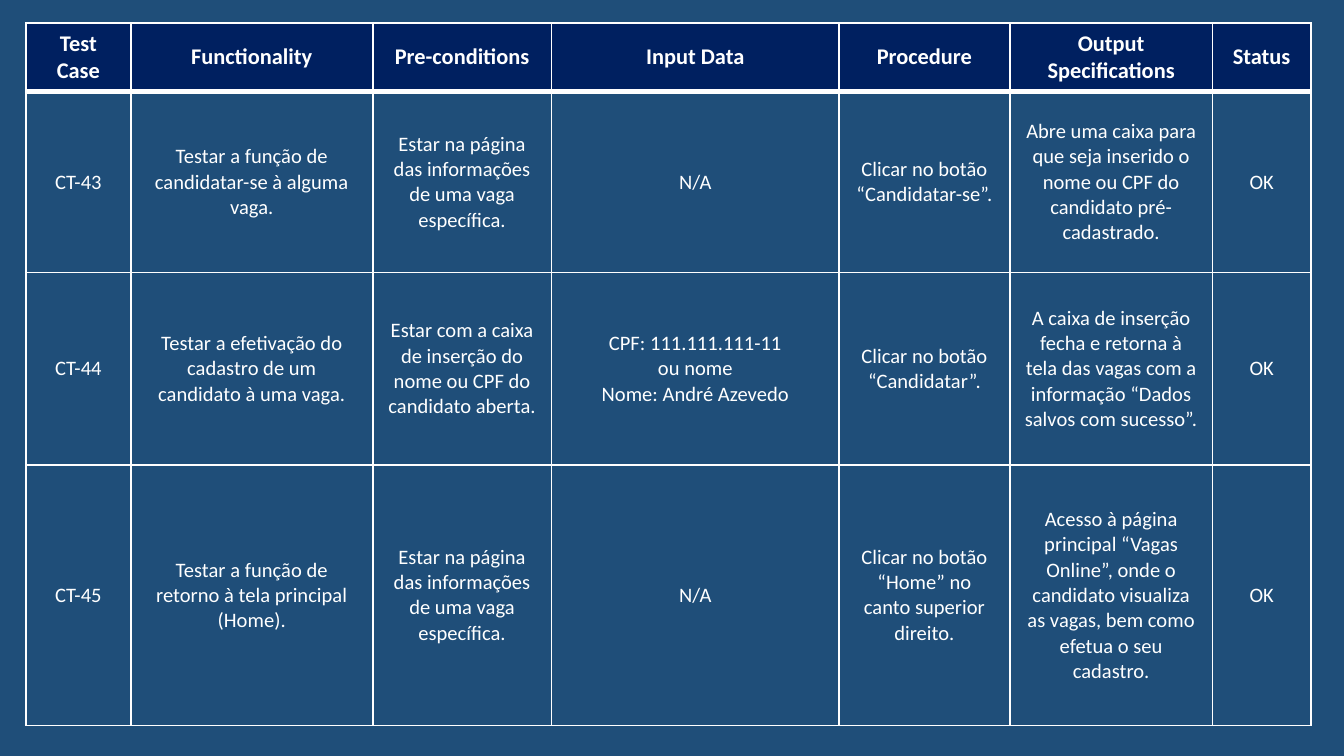
from lxml import etree
from pptx import Presentation
from pptx.dml.color import RGBColor
from pptx.enum.text import MSO_ANCHOR, PP_ALIGN
from pptx.oxml.ns import qn
from pptx.util import Pt

CENTER = PP_ALIGN.CENTER
MIDDLE = MSO_ANCHOR.MIDDLE
FONT = "Calibri"
BACKGROUND, HEADER, WHITE = "1F4E79", "002060", "FFFFFF"

# Content: header row, then one row per test case
TEST_CASES = [
    ("Test Case", "Functionality", "Pre-conditions", "Input Data",
     "Procedure", "Output Specifications", "Status"),
    ("CT-43",
     "Testar a função de candidatar-se à alguma vaga.",
     "Estar na página das informações de uma vaga específica.",
     "N/A",
     "Clicar no botão “Candidatar-se”.",
     "Abre uma caixa para que seja inserido o nome ou CPF do candidato "
     "pré-cadastrado.",
     "OK"),
    ("CT-44",
     "Testar a efetivação do cadastro de um candidato à uma vaga.",
     "Estar com a caixa de inserção do nome ou CPF do candidato aberta.",
     "CPF: 111.111.111-11\nou nome\nNome: André Azevedo",
     "Clicar no botão “Candidatar”.",
     "A caixa de inserção fecha e retorna à tela das vagas com a informação "
     "“Dados salvos com sucesso”.",
     "OK"),
    ("CT-45",
     "Testar a função de retorno à tela principal (Home).",
     "Estar na página das informações de uma vaga específica.",
     "N/A",
     "Clicar no botão “Home” no canto superior direito.",
     "Acesso à página principal “Vagas Online”, onde o candidato visualiza "
     "as vagas, bem como efetua o seu cadastro.",
     "OK"),
]

# Geometry in points
LEFT, TOP = 13.9, 12.4
COL_WIDTHS = [56.2, 129.6, 95.8, 154.1, 91.4, 108.7, 52.6]
ROW_HEIGHTS = [29.5, 97.2, 103, 139.7]


def rgb(color):
    return RGBColor.from_string(color)


def set_borders(cell, color, widths):
    tc_pr = cell._tc.get_or_add_tcPr()
    for side, width in zip("LRTB", widths):
        ln = etree.SubElement(tc_pr, qn(f"a:ln{side}"), w=str(Pt(width)))
        fill = etree.SubElement(ln, qn("a:solidFill"))
        etree.SubElement(fill, qn("a:srgbClr"), val=color)


def format_cell(cell, text, row):
    is_header = row == 0
    # The rule between header and body is heavier
    set_borders(cell, WHITE, (1, 1, 3 if row == 1 else 1, 3 if is_header else 1))
    if is_header:
        cell.fill.solid()
        cell.fill.fore_color.rgb = rgb(HEADER)
    else:
        cell.fill.background()
    cell.vertical_anchor = MIDDLE
    cell.text_frame.text = text
    for p in cell.text_frame.paragraphs:
        p.alignment = CENTER
        for r in p.runs:
            r.font.name = FONT
            r.font.size = Pt(12 if is_header else 11)
            r.font.bold = is_header
            r.font.color.rgb = rgb(WHITE)


def main():
    prs = Presentation()
    prs.slide_width, prs.slide_height = Pt(720), Pt(405)
    s = prs.slides.add_slide(prs.slide_layouts[6])
    s.background.fill.solid()
    s.background.fill.fore_color.rgb = rgb(BACKGROUND)

    # Test case table
    table = s.shapes.add_table(
        len(ROW_HEIGHTS), len(COL_WIDTHS), Pt(LEFT), Pt(TOP),
        Pt(sum(COL_WIDTHS)), Pt(sum(ROW_HEIGHTS))).table
    table.horz_banding = False
    for column, width in zip(table.columns, COL_WIDTHS):
        column.width = Pt(width)
    for row, height in zip(table.rows, ROW_HEIGHTS):
        row.height = Pt(height)
    for i, texts in enumerate(TEST_CASES):
        for j, text in enumerate(texts):
            format_cell(table.cell(i, j), text, i)

    prs.save("out.pptx")


if __name__ == "__main__":
    main()
